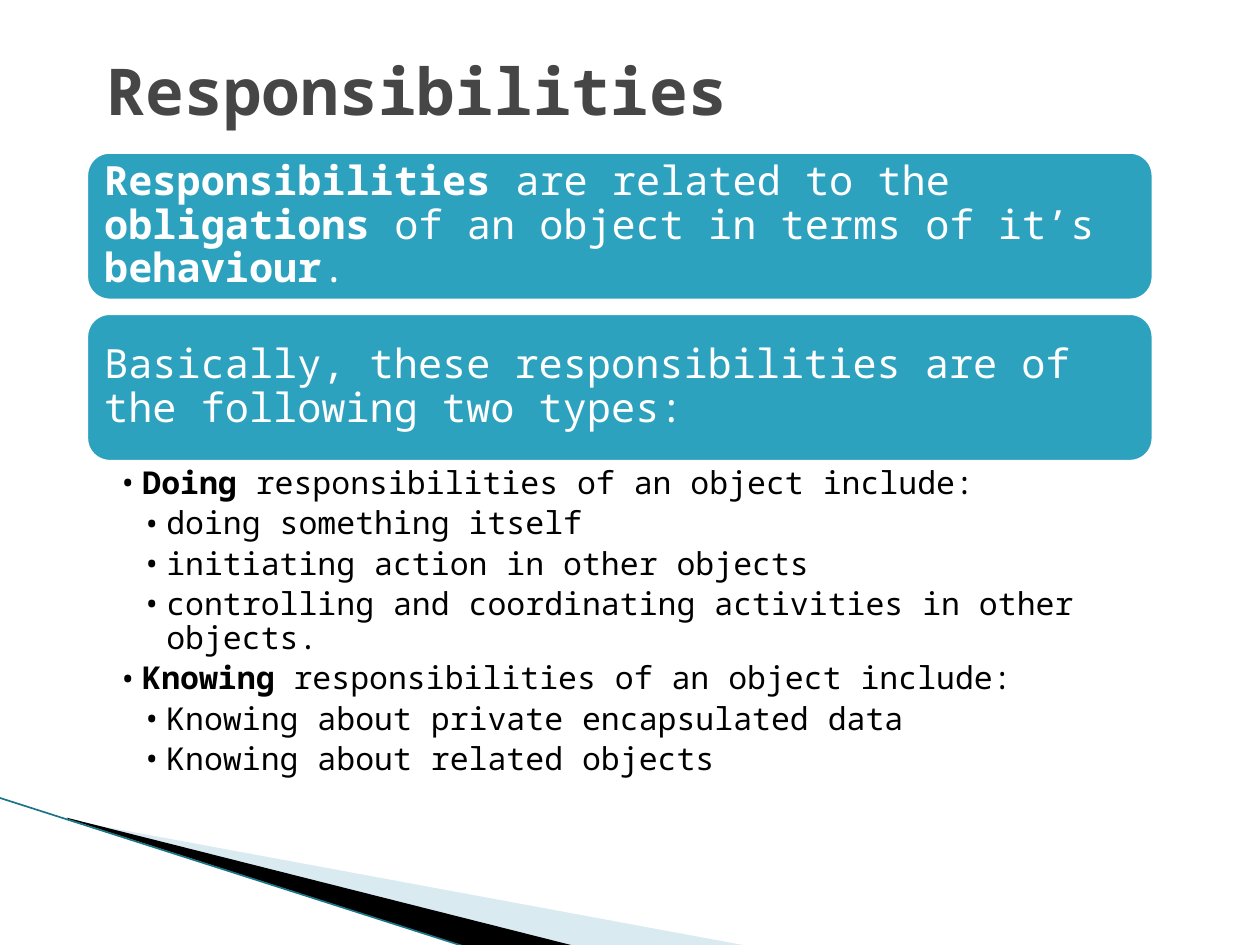
from dataclasses import dataclass

import lxml.etree
import pptx
import pptx.dml.color
import pptx.enum.shapes
import pptx.enum.text
import pptx.oxml.ns
import pptx.util

FONT = "Noto Sans Mono"
COLUMNS, ROWS = 10, 7.5
WHITE, BLACK, TEAL, GREY = "FFFFFF", "000000", "2DA2BF", "464646"
PALE_BLUE, DARK_TEAL = "A0CBDC", "1B7587"
MARGIN, BODY_WIDTH = 0.67, 8.5
BANNER_TOP, BANNER_HEIGHT, BANNER_PITCH = 1.19, 1.21, 1.28
BULLET_INDENT = 0.19

presentation = pptx.Presentation()
presentation.slide_width = pptx.util.Inches(10)
presentation.slide_height = pptx.util.Inches(7.5)
slide = presentation.slides.add_slide(presentation.slide_layouts[6])


@dataclass(frozen=True)
class Span:
    text: str
    bold: bool = False


@dataclass(frozen=True)
class Bullet:
    level: int
    spans: tuple[Span, ...]


@dataclass(frozen=True)
class Wedge:
    """A corner decoration, its points given in columns and rows."""
    points: tuple[tuple[float, float], ...]
    color: str
    opacity: int = 100


WEDGES = (
    Wedge(((0.55, 6.51), (5.95, 7.51), (4.56, 7.51), (0.55, 6.5)), PALE_BLUE, 40),
    Wedge(((0.53, 6.49), (4.57, 7.51), (3.72, 7.52), (0.54, 6.5)), BLACK),
)
BANNERS = (
    (
        Span("Responsibilities", True),
        Span(" are related to the "),
        Span("obligations", True),
        Span(" of an object in terms of it’s"),
        Span(" behaviour", True),
        Span("."),
    ),
    (Span("Basically, these responsibilities are of the following two types:"),),
)
BULLETS = (
    Bullet(1, (Span("Doing", True), Span(" responsibilities of an object include:"))),
    Bullet(2, (Span("doing something itself"),)),
    Bullet(2, (Span("initiating action in other objects"),)),
    Bullet(2, (Span("controlling and coordinating activities in other objects."),)),
    Bullet(1, (Span("Knowing", True), Span(" responsibilities of an object include:"))),
    Bullet(2, (Span("Knowing about private encapsulated data"),)),
    Bullet(2, (Span("Knowing about related objects"),)),
)


def across(columns: float) -> int:
    return round(presentation.slide_width * columns / COLUMNS)


def down(rows: float) -> int:
    return round(presentation.slide_height * rows / ROWS)


def rgb(color: str) -> pptx.dml.color.RGBColor:
    return pptx.dml.color.RGBColor.from_string(color)


def add_child(parent, tag: str, **attributes: str):
    return lxml.etree.SubElement(parent, pptx.oxml.ns.qn(tag), attributes)


def paint(shape, color: str) -> None:
    shape.shadow.inherit = False
    shape.fill.solid()
    shape.fill.fore_color.rgb = rgb(color)


def set_frame(frame, anchor, left=0.1, top=0.1, right=0.1, bottom=0.1) -> None:
    frame.word_wrap = True
    frame.vertical_anchor = anchor
    frame.margin_left, frame.margin_right = across(left), across(right)
    frame.margin_top, frame.margin_bottom = down(top), down(bottom)


def write(paragraph, spans: tuple[Span, ...], size: float, color: str) -> None:
    paragraph.alignment = pptx.enum.text.PP_ALIGN.LEFT
    for span in spans:
        run = paragraph.add_run()
        run.text = span.text
        run.font.name = FONT
        run.font.size = pptx.util.Pt(size)
        run.font.bold = span.bold
        run.font.color.rgb = rgb(color)


def draw_wedge(wedge: Wedge) -> None:
    start, *others = [(across(x), down(y)) for x, y in wedge.points]
    builder = slide.shapes.build_freeform(*start)
    builder.add_line_segments(others, close=True)
    shape = builder.convert_to_shape()
    paint(shape, wedge.color)
    shape.line.fill.background()
    if wedge.opacity < 100:
        for fill_color in shape.fill._xPr.iter(pptx.oxml.ns.qn("a:srgbClr")):
            add_child(fill_color, "a:alpha", val=str(wedge.opacity * 1000))


def draw_edge() -> None:
    edge = slide.shapes.add_connector(
        pptx.enum.shapes.MSO_CONNECTOR.STRAIGHT,
        across(-0.01), down(6.33), across(3.71), down(7.52),
    )
    edge.line.color.rgb = rgb(DARK_TEAL)
    edge.line.width = pptx.util.Pt(0.95)
    add_child(edge._element.spPr, "a:effectLst")


def draw_banner(row: int, spans: tuple[Span, ...]) -> None:
    banner = slide.shapes.add_shape(
        pptx.enum.shapes.MSO_SHAPE.ROUNDED_RECTANGLE,
        across(MARGIN), down(BANNER_TOP + row * BANNER_PITCH),
        across(BODY_WIDTH), down(BANNER_HEIGHT),
    )
    paint(banner, TEAL)
    banner.line.color.rgb = rgb(WHITE)
    banner.line.width = pptx.util.Pt(4.33)
    set_frame(banner.text_frame, pptx.enum.text.MSO_ANCHOR.MIDDLE)
    paragraph = banner.text_frame.paragraphs[0]
    paragraph.line_spacing = 0.9
    write(paragraph, spans, 23, WHITE)


def draw_bullets(bullets: tuple[Bullet, ...]) -> None:
    frame = slide.shapes.add_textbox(
        across(MARGIN), down(3.68), across(BODY_WIDTH), down(2.97)
    ).text_frame
    set_frame(frame, pptx.enum.text.MSO_ANCHOR.TOP, 0.27, 0.03, 0.18, 0.03)
    for index, bullet in enumerate(bullets):
        paragraph = frame.add_paragraph() if index else frame.paragraphs[0]
        paragraph.level = bullet.level
        paragraph.line_spacing = 0.9
        paragraph.space_after = pptx.util.Pt(3.6)
        properties = paragraph._p.get_or_add_pPr()
        properties.set("marL", str(across(BULLET_INDENT * bullet.level)))
        properties.set("indent", str(across(-BULLET_INDENT)))
        add_child(properties, "a:buFont", typeface=FONT)
        add_child(properties, "a:buChar", char="•")
        write(paragraph, bullet.spans, 18, BLACK)


def draw_title(title: str) -> None:
    frame = slide.shapes.add_textbox(
        across(0.75), down(0.42), across(BODY_WIDTH), down(0.58)
    ).text_frame
    set_frame(frame, pptx.enum.text.MSO_ANCHOR.MIDDLE, top=0.05, bottom=0.05)
    write(frame.paragraphs[0], (Span(title, True),), 36.9, GREY)


def main() -> None:
    for wedge in WEDGES:
        draw_wedge(wedge)
    draw_edge()
    for row, spans in enumerate(BANNERS):
        draw_banner(row, spans)
    draw_bullets(BULLETS)
    draw_title("Responsibilities")
    presentation.save("out.pptx")


if __name__ == "__main__":
    main()
